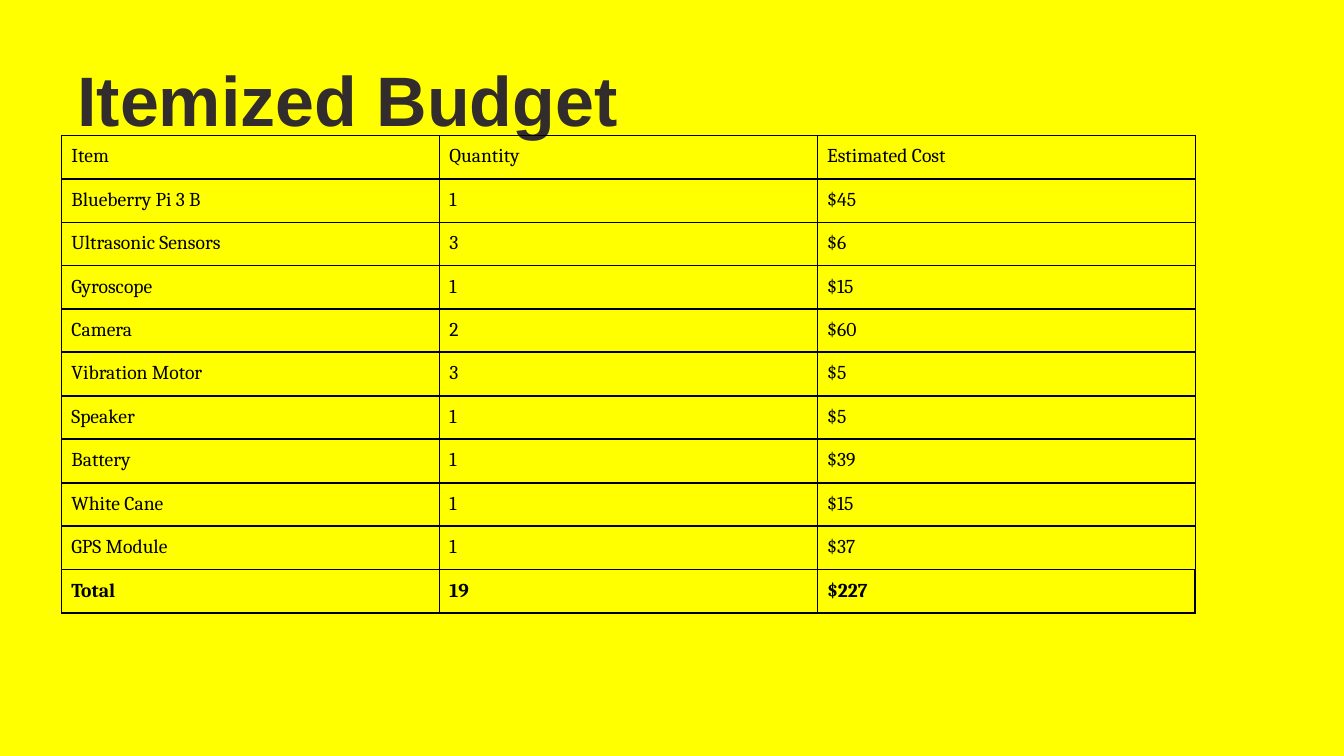
from dataclasses import dataclass

from lxml.etree import SubElement
from pptx import Presentation
from pptx.dml.color import RGBColor
from pptx.enum.text import MSO_ANCHOR
from pptx.oxml.ns import qn
from pptx.util import Cm, Pt


@dataclass(frozen=True)
class Theme:
    background: str = "FFFF00"
    title: str = "332C2C"
    ink: str = "000000"
    title_font: str = "Arial"
    table_font: str = "Cambria"
    title_size: int = 50
    table_size: int = 14
    thin: float = 0.75
    thick: float = 1.5


THEME = Theme()
BUDGET = [
    ("Item", "Quantity", "Estimated Cost"),
    ("Blueberry Pi 3 B", "1", "$45"),
    ("Ultrasonic Sensors", "3", "$6"),
    ("Gyroscope", "1", "$15"),
    ("Camera", "2", "$60"),
    ("Vibration Motor", "3", "$5"),
    ("Speaker", "1", "$5"),
    ("Battery", "1", "$39"),
    ("White Cane", "1", "$15"),
    ("GPS Module", "1", "$37"),
    ("Total", "19", "$227"),
]
THIN_RULES = {0, 2, 3}  # horizontal rules, counted from the top edge


def set_attributes(target, values):
    for name, value in values.items():
        setattr(target, name, value)


def write(tf, text, color, **font):
    p = tf.paragraphs[0]
    r = p.add_run()
    r.text = text
    set_attributes(r.font, font)
    r.font.color.rgb = RGBColor.from_string(color)


def add_title(s, text):
    sp = s.shapes.add_textbox(Cm(1.7), Cm(0.76), Cm(30.48), Cm(3.18))
    tf = sp.text_frame
    set_attributes(tf, {
        "word_wrap": True,
        "vertical_anchor": MSO_ANCHOR.MIDDLE,
        "margin_left": Cm(0.25),
        "margin_right": Cm(0.25),
        "margin_top": Cm(0.4),
        "margin_bottom": Cm(0.13),
    })
    write(tf, text, THEME.title, name=THEME.title_font,
          size=Pt(THEME.title_size), bold=True)


def set_borders(cell, widths):
    """Draw the cell's edges; widths maps L, R, T and B to points."""
    tc_pr = cell._tc.get_or_add_tcPr()
    for index, (side, width) in enumerate(widths.items()):
        ln = tc_pr.makeelement(qn(f"a:ln{side}"), {"w": str(Pt(width))})
        fill = SubElement(ln, qn("a:solidFill"))
        SubElement(fill, qn("a:srgbClr"), val=THEME.ink)
        tc_pr.insert(index, ln)


def rule_width(rule):
    return THEME.thin if rule in THIN_RULES else THEME.thick


def add_budget_table(s, rows):
    count, columns = len(rows), len(rows[0])
    width, height = Cm(28.57), Cm(11.84)
    table = s.shapes.add_table(
        count, columns, Cm(1.55), Cm(3.41), width, height).table
    set_attributes(table, {"first_row": False, "horz_banding": False})
    for column in table.columns:
        column.width = width // columns
    for i, values in enumerate(rows):
        table.rows[i].height = height // count
        total = i == count - 1
        for j, value in enumerate(values):
            cell = table.cell(i, j)
            cell.fill.background()
            set_attributes(cell, {f"margin_{side}": Cm(0.25) for side in
                                  ("left", "right", "top", "bottom")})
            write(cell.text_frame, value, THEME.ink, name=THEME.table_font,
                  size=Pt(THEME.table_size), bold=total)
            set_borders(cell, {
                "L": THEME.thick if total and j == 0 else THEME.thin,
                "R": THEME.thick if total and j == columns - 1 else THEME.thin,
                "T": rule_width(i),
                "B": rule_width(i + 1),
            })


def main():
    prs = Presentation()
    set_attributes(prs, {"slide_width": Cm(33.87), "slide_height": Cm(19.05)})
    s = prs.slides.add_slide(prs.slide_layouts[6])
    s.background.fill.solid()
    s.background.fill.fore_color.rgb = RGBColor.from_string(THEME.background)
    add_title(s, "Itemized Budget")
    add_budget_table(s, BUDGET)
    prs.save("out.pptx")


if __name__ == "__main__":
    main()
